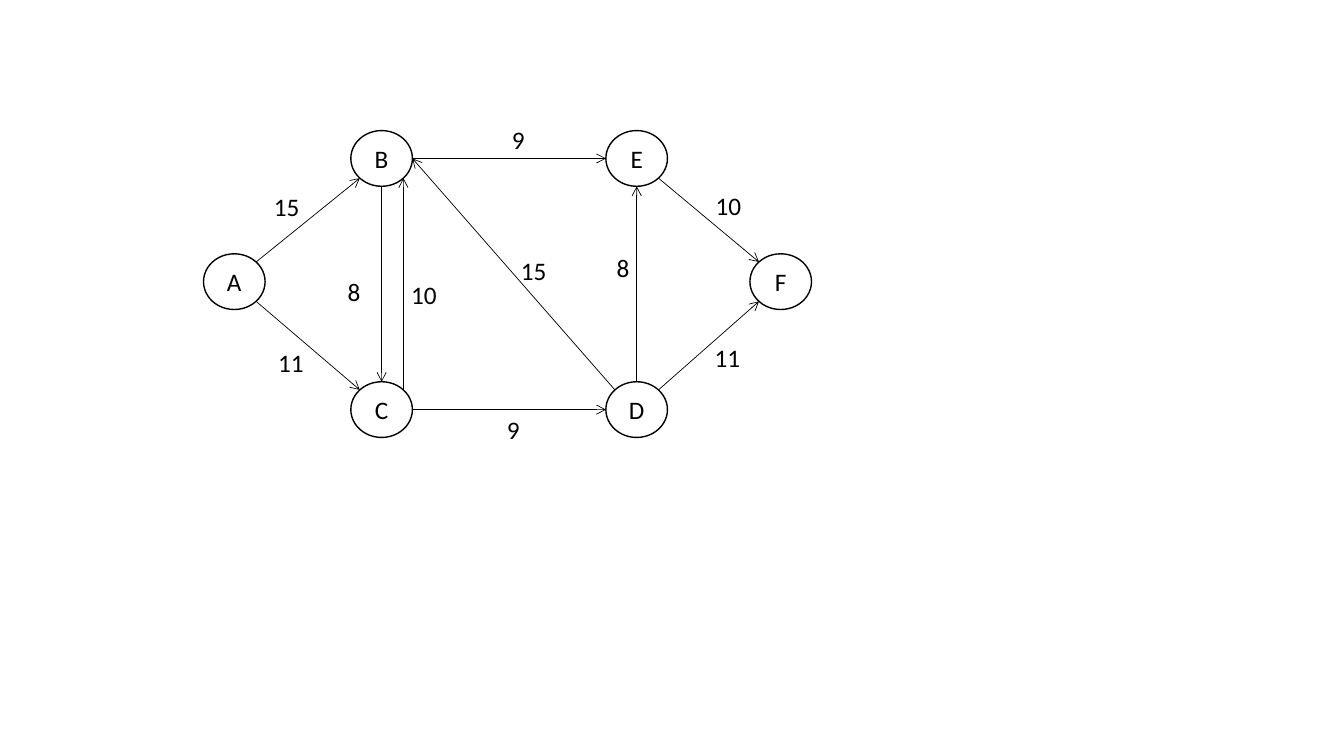
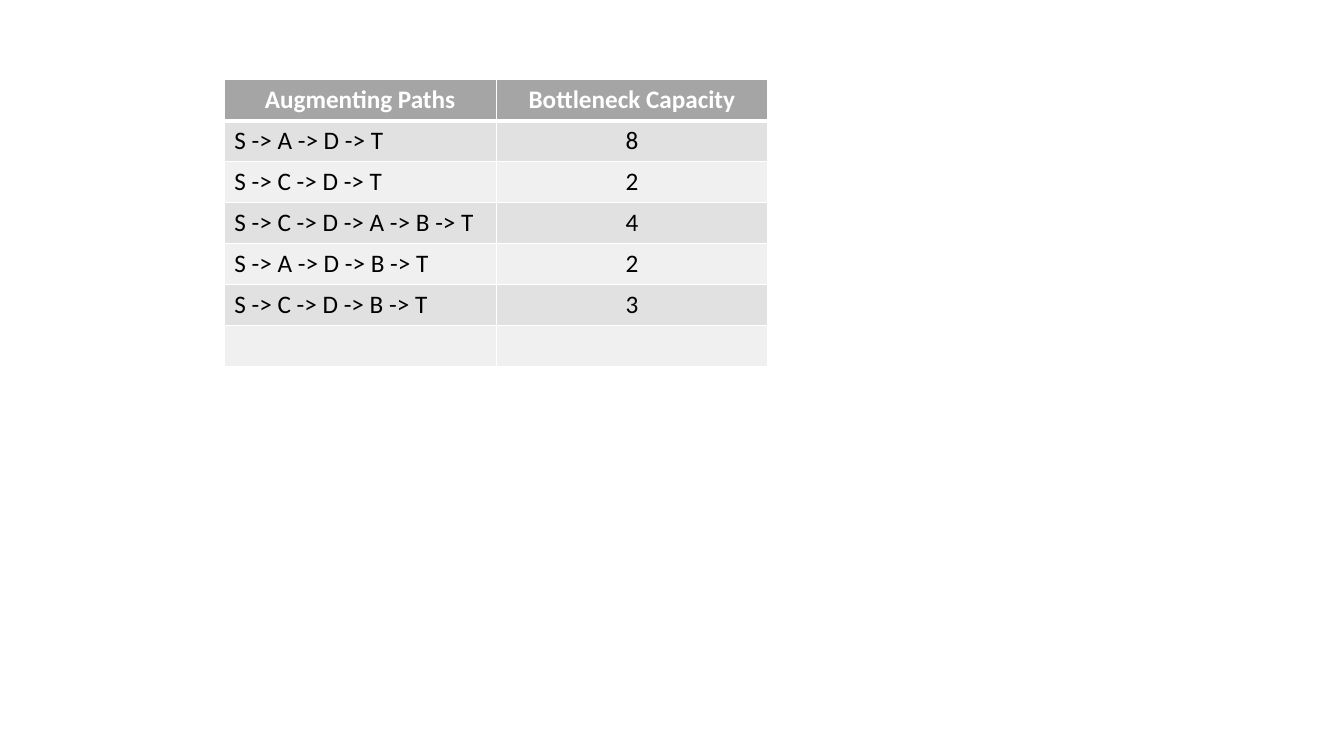
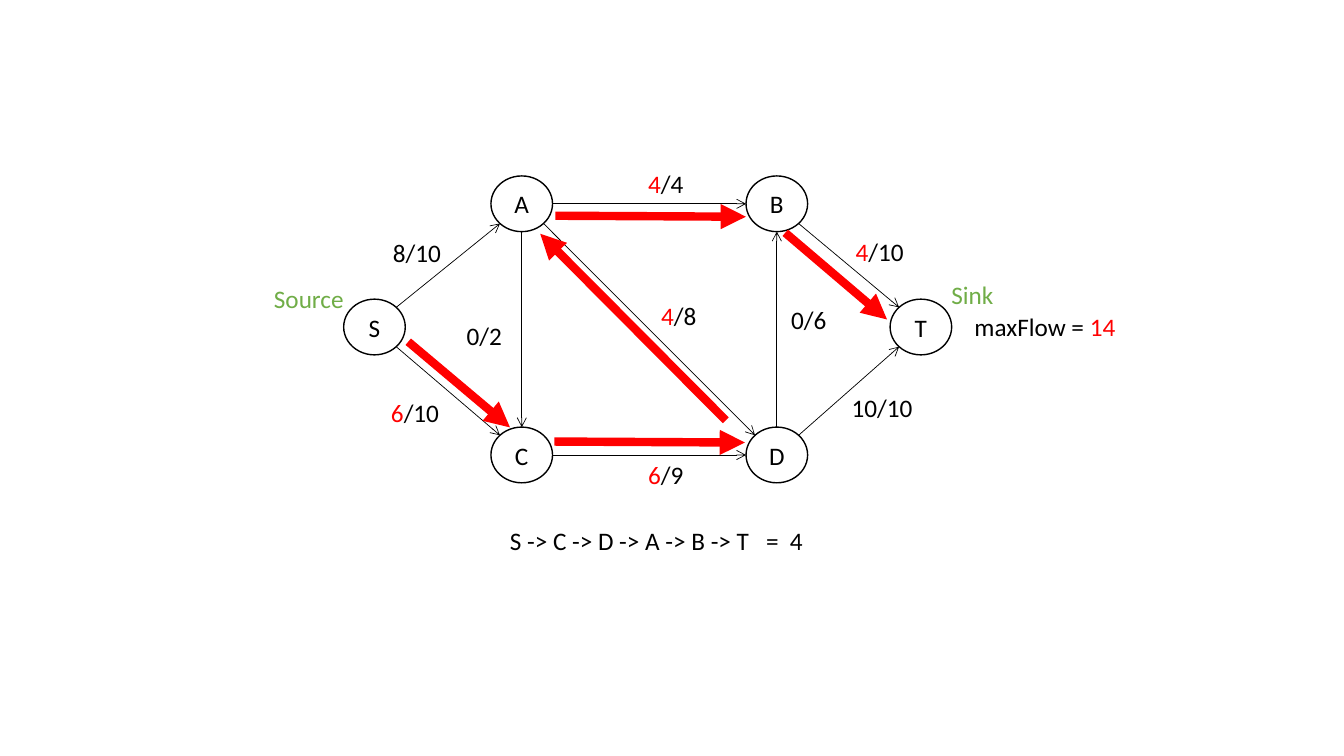
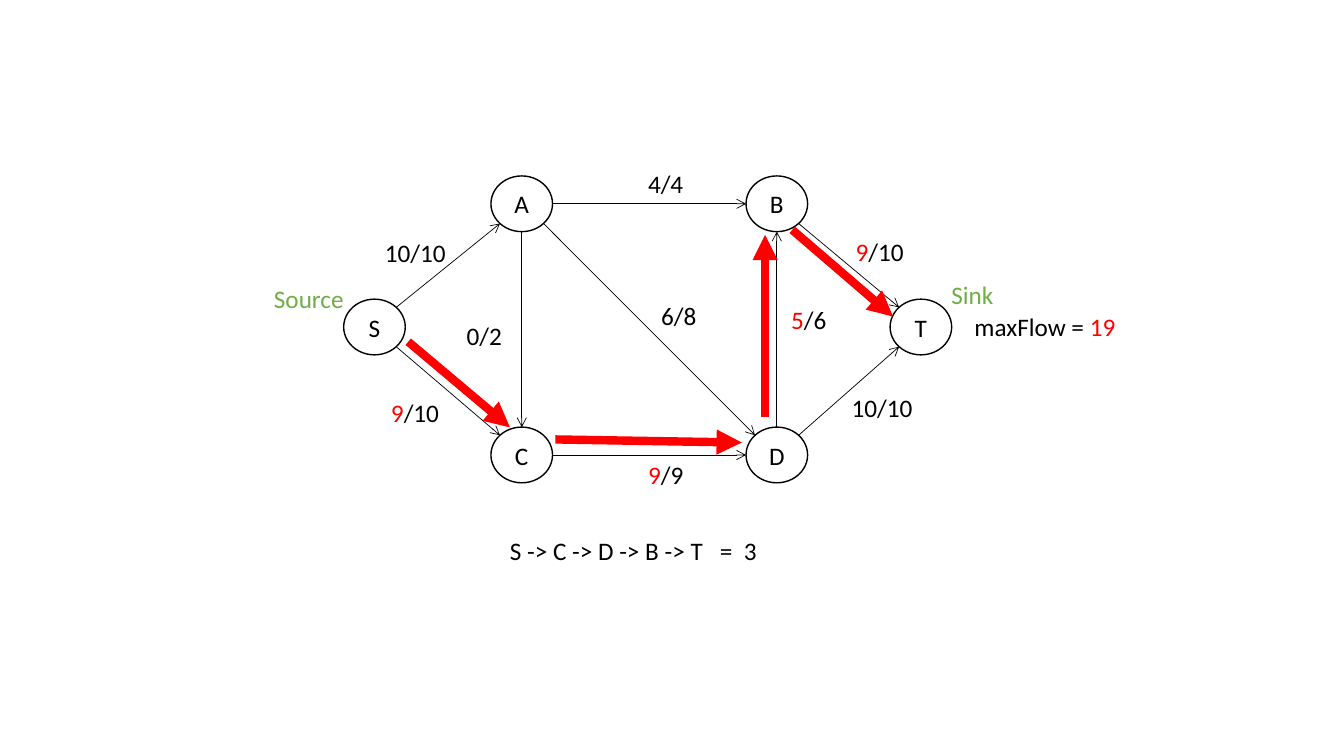
"""Build four slides on maximum flow: a capacity graph, a table of augmenting paths and two flow steps."""
from dataclasses import dataclass
from itertools import pairwise
from math import cos, pi, sin

from lxml.etree import SubElement
from pptx import Presentation
from pptx.dml.color import RGBColor as RGB
from pptx.enum.shapes import MSO_CONNECTOR as CXN, MSO_SHAPE as SHAPE
from pptx.enum.text import MSO_ANCHOR as ANCHOR, MSO_AUTO_SIZE as AUTO, PP_ALIGN as ALIGN
from pptx.oxml.ns import qn
from pptx.util import Pt


@dataclass(frozen=True)
class Theme:
    font: str = "Calibri"
    size: float = 18
    ink: RGB = RGB(0, 0, 0)
    paper: RGB = RGB(255, 255, 255)
    hot: RGB = RGB(255, 0, 0)
    terminal: RGB = RGB(0x70, 0xAD, 0x47)
    header: RGB = RGB(0xA5, 0xA5, 0xA5)
    bands: tuple = (RGB(0xE1, 0xE1, 0xE1), RGB(0xF0, 0xF0, 0xF0))
    node_line: float = 1
    edge_line: float = 0.5
    path_line: float = 6


THEME = Theme()
NODE_W, NODE_H = 44, 39.8
LABEL_H = 29
TOP, TOP_LEFT, LEFT, BOTTOM_LEFT, BOTTOM, BOTTOM_RIGHT, RIGHT, TOP_RIGHT = range(8)

SLOTS = {
    "west": (0, 0),
    "nw": (105.2, -88),
    "sw": (105.2, 91.4),
    "ne": (287.4, -88),
    "se": (287.4, 91.4),
    "east": (390.3, 0),
}
SHARED_EDGES = [
    ("west", TOP_RIGHT, "nw", BOTTOM_LEFT),
    ("se", TOP_RIGHT, "east", BOTTOM_LEFT),
    ("west", BOTTOM_RIGHT, "sw", TOP_LEFT),
    ("sw", RIGHT, "se", LEFT),
    ("nw", RIGHT, "ne", LEFT),
    ("ne", BOTTOM_RIGHT, "east", TOP_LEFT),
    ("se", TOP, "ne", BOTTOM),
    ("nw", BOTTOM, "sw", TOP),
]
CAPACITY_EDGES = [("sw", TOP_RIGHT, "nw", BOTTOM_RIGHT), ("se", TOP_LEFT, "nw", RIGHT)]
FLOW_EDGES = [("nw", BOTTOM_RIGHT, "se", TOP_LEFT)]

CAPACITY_LABELS = [
    ("15", 188.6, 133.2), ("11", 191.5, 244.8), ("10", 286.6, 195.8), ("8", 241.2, 193.7),
    ("9", 355, 292.3), ("9", 358.6, 85), ("10", 504, 132.5), ("11", 503.3, 241.2),
    ("8", 433.4, 176.4), ("15", 365, 178.6),
]
FLOW_LABELS = {
    "AC": (2, 326.2, 225.4, 46),
    "CD": (9, 455.8, 324.7, 61),
    "AB": (4, 455.8, 116.6, 47),
    "BT": (10, 604, 164.9, 68),
    "DB": (6, 558, 213.8, 46),
    "AD": (8, 465.1, 211, 65),
    "DT": (10, 601.2, 276.5, 68),
    "SC": (10, 272.2, 280, 55),
}
SA_RIGHT, SA_TOP, SA_CAPACITY = 328.3, 165.6, 10
SC_ARROW = (291.6, 244.1, 364.3, 305.3)

PATH_ROWS = [
    ("Augmenting Paths", "Bottleneck Capacity"),
    ("S -> A -> D -> T", "8"),
    ("S -> C -> D -> T", "2"),
    ("S -> C -> D -> A -> B -> T", "4"),
    ("S -> A -> D -> B -> T", "2"),
    ("S -> C -> D -> B -> T", "3"),
    ("", ""),
]


def style_font(font, color, bold=False):
    font.name, font.size, font.bold = THEME.font, Pt(THEME.size), bold
    font.color.rgb = color


def add_slide(prs):
    return prs.slides.add_slide(prs.slide_layouts[6])


def add_label(slide, left, top, width, *runs):
    tf = slide.shapes.add_textbox(Pt(left), Pt(top), Pt(width), Pt(LABEL_H)).text_frame
    tf.word_wrap, tf.auto_size = True, AUTO.SHAPE_TO_FIT_TEXT
    for text, color in runs:
        r = tf.paragraphs[0].add_run()
        r.text = text
        style_font(r.font, color)


def add_node(slide, name, left, top):
    sp = slide.shapes.add_shape(SHAPE.OVAL, Pt(left), Pt(top), Pt(NODE_W), Pt(NODE_H))
    sp.shadow.inherit = False
    sp.fill.solid()
    sp.fill.fore_color.rgb = THEME.paper
    sp.line.color.rgb, sp.line.width = THEME.ink, Pt(THEME.node_line)
    tf = sp.text_frame
    tf.text, tf.vertical_anchor = name, ANCHOR.MIDDLE
    p = tf.paragraphs[0]
    p.alignment = ALIGN.CENTER
    style_font(p.runs[0].font, THEME.ink)
    return sp


def add_arrow(slide, x1, y1, x2, y2, color, width, head):
    cxn = slide.shapes.add_connector(CXN.STRAIGHT, Pt(x1), Pt(y1), Pt(x2), Pt(y2))
    cxn.line.color.rgb, cxn.line.width = color, Pt(width)
    props = cxn._element.spPr
    SubElement(props.find(qn("a:ln")), qn("a:tailEnd"), type=head)
    SubElement(props, qn("a:effectLst"))
    return cxn


def site_point(sp, site):
    angle = site * pi / 4
    x = sp.left.pt + NODE_W / 2 * (1 - sin(angle))
    y = sp.top.pt + NODE_H / 2 * (1 - cos(angle))
    return x, y


def add_edge(slide, start, start_site, end, end_site):
    points = site_point(start, start_site) + site_point(end, end_site)
    cxn = add_arrow(slide, *points, THEME.ink, THEME.edge_line, "arrow")
    joints = cxn._element.find(".//" + qn("p:cNvCxnSpPr"))
    for tag, sp, site in (("a:stCxn", start, start_site), ("a:endCxn", end, end_site)):
        SubElement(joints, qn(tag), id=str(sp.shape_id), idx=str(site))


def add_graph(slide, left, top, names, edges):
    nodes = {
        slot: add_node(slide, name, left + dx, top + dy)
        for name, (slot, (dx, dy)) in zip(names, SLOTS.items())
    }
    for start, start_site, end, end_site in SHARED_EDGES + edges:
        add_edge(slide, nodes[start], start_site, nodes[end], end_site)


def add_capacity_slide(prs):
    slide = add_slide(prs)
    add_graph(slide, 145.4, 181.3, "ABCEDF", CAPACITY_EDGES)
    for text, left, top in CAPACITY_LABELS:
        add_label(slide, left, top, 10 + 14.4 * len(text), (text, THEME.ink))


def set_borders(cell, bottom):
    props = cell._tc.get_or_add_tcPr()
    for side, width in (("L", 1), ("R", 1), ("T", 1), ("B", bottom)):
        ln = SubElement(props, qn("a:ln" + side), w=str(Pt(width)))
        SubElement(SubElement(ln, qn("a:solidFill")), qn("a:srgbClr"), val=str(THEME.paper))


def format_cell(cell, text, row, column):
    is_header = row == 0
    set_borders(cell, 3 if is_header else 1)
    cell.fill.solid()
    cell.fill.fore_color.rgb = THEME.header if is_header else THEME.bands[(row - 1) % 2]
    cell.text = text
    p = cell.text_frame.paragraphs[0]
    p.alignment = ALIGN.CENTER if is_header or column else ALIGN.LEFT
    for r in p.runs:
        style_font(r.font, THEME.paper if is_header else THEME.ink, is_header)


def add_table_slide(prs):
    rows, columns = len(PATH_ROWS), len(PATH_ROWS[0])
    frame = add_slide(prs).shapes.add_table(
        rows, columns, Pt(160.2), Pt(57), Pt(194.2 * columns), Pt(29.3 * rows))
    for i, texts in enumerate(PATH_ROWS):
        for j, text in enumerate(texts):
            format_cell(frame.table.cell(i, j), text, i, j)


def add_flow_slide(prs, flows, path, gain, total, sa_left, caption_top, caption_width, arrows):
    slide = add_slide(prs)
    add_graph(slide, 245.5, 213.7, "SACBDT", FLOW_EDGES)
    labels = {"SA": (SA_CAPACITY, sa_left, SA_TOP, SA_RIGHT - sa_left)} | FLOW_LABELS
    hot_edges = [set(step) for step in pairwise(path)]
    for edge, (capacity, left, top, width) in labels.items():
        flow, limit = str(flows[edge]), f"/{capacity}"
        if set(edge) in hot_edges:
            add_label(slide, left, top, width, (flow, THEME.hot), (limit, THEME.ink))
        else:
            add_label(slide, left, top, width, (flow + limit, THEME.ink))
    add_label(slide, 188.6, 198.7, 70, ("Source", THEME.terminal))
    add_label(slide, 672.5, 195.8, 70, ("Sink", THEME.terminal))
    add_label(slide, 689, 218.9, 117, ("maxFlow = ", THEME.ink), (str(total), THEME.hot))
    caption = f"{' -> '.join(path)}   =  {gain}"
    add_label(slide, 357.1, caption_top, caption_width, (caption, THEME.ink))
    for points in [SC_ARROW] + arrows:
        add_arrow(slide, *points, THEME.hot, THEME.path_line, "triangle")


def main():
    prs = Presentation()
    prs.slide_width, prs.slide_height = Pt(960), Pt(540)
    add_capacity_slide(prs)
    add_table_slide(prs)
    add_flow_slide(
        prs, dict(SA=8, AC=0, CD=6, AB=4, BT=4, DB=0, AD=4, DT=10, SC=6),
        path="SCDABT", gain=4, total=14, sa_left=273.6, caption_top=371.5, caption_width=233,
        arrows=[
            (560.9, 166.3, 633.6, 228.2),
            (396, 315.4, 532.1, 316.1),
            (518.4, 300.2, 385.9, 167),
            (396.7, 154.1, 532.8, 154.8),
        ])
    add_flow_slide(
        prs, dict(SA=10, AC=0, CD=9, AB=4, BT=9, DB=5, AD=6, DT=10, SC=9),
        path="SCDBT", gain=3, total=19, sa_left=267.8, caption_top=378.7, caption_width=254,
        arrows=[
            (565.9, 164.2, 637.9, 226.1),
            (396.7, 313.9, 529.9, 316.1),
            (546.5, 298.1, 546.5, 167.8),
        ])
    prs.save("out.pptx")


if __name__ == "__main__":
    main()
